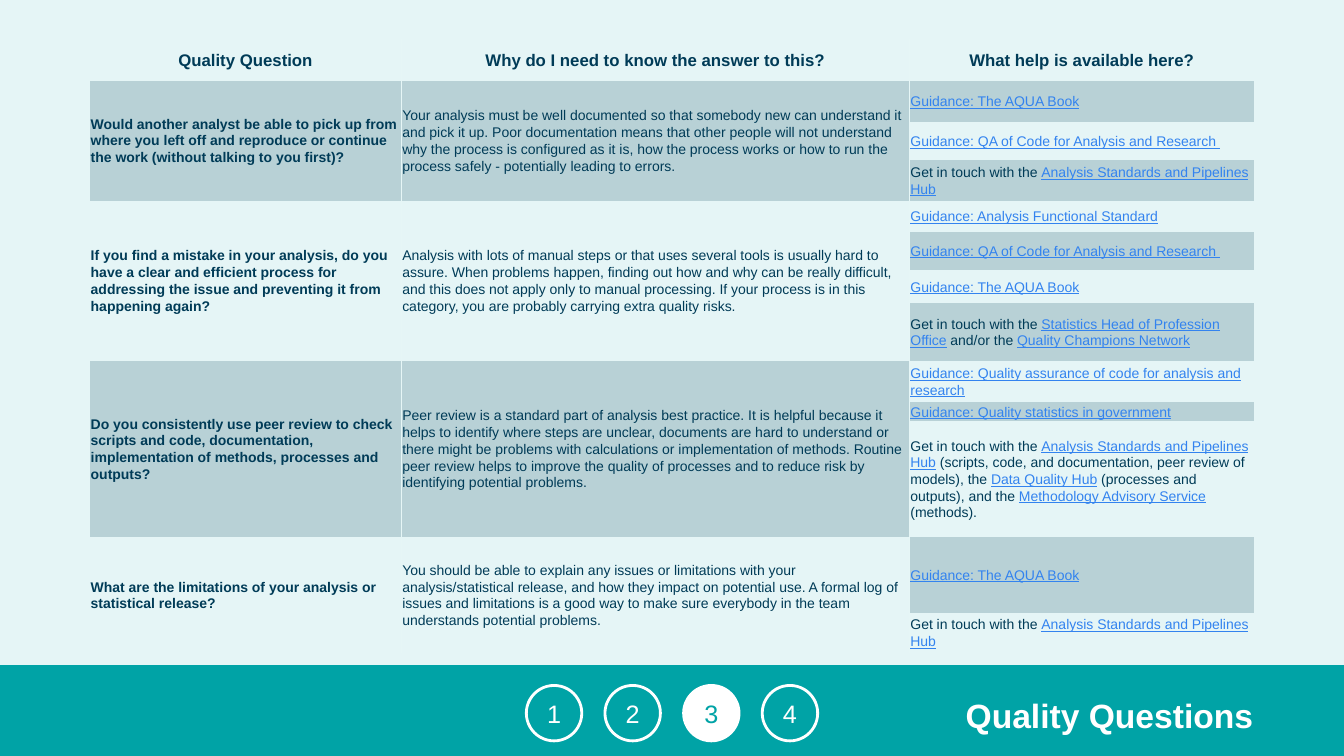
from pptx import Presentation
from pptx.dml.color import RGBColor as Rgb
from pptx.enum.shapes import MSO_SHAPE as Kind
from pptx.enum.text import MSO_ANCHOR as Anchor, PP_ALIGN as Align
from pptx.oxml import parse_xml as to_xml
from pptx.oxml.ns import nsdecls, qn
from pptx.util import Inches, Pt

HUES = {"back": "E5F5F6", "teal": "00A3A6", "band": "B8D1D6", "edge": "E6F6F6",
        "ink": "003B57", "link": "3383EF", "white": "FFFFFF"}
NO_STYLE = "{2D5ABB26-0587-4C30-8999-92F81FD0307C}"
COLS = [3.09, 5.04, 3.42]
ROWS = [0.41, 0.41, 0.38, 0.4, 0.31, 0.38, 0.33, 0.57, 0.41, 0.19, 1.15, 0.75, 0.4]
HEADS = ["Quality Question", "Why do I need to know the answer to this?",
         "What help is available here?"]
AQUA = "[Guidance: The AQUA Book]"
CODE = "[Guidance: QA of Code for Analysis and Research ]"
HUB = "Get in touch with the [Analysis Standards and Pipelines Hub]"
TOPICS = [
    ("Would another analyst be able to pick up from where you left off and reproduce "
     "or continue the work (without talking to you first)?",
     "Your analysis must be well documented so that somebody new can understand it and "
     "pick it up. Poor documentation means that other people will not understand why the "
     "process is configured as it is, how the process works or how to run the process "
     "safely - potentially leading to errors.",
     [AQUA, CODE, HUB]),
    ("If you find a mistake in your analysis, do you have a clear and efficient process "
     "for addressing the issue and preventing it from happening again?",
     "Analysis with lots of manual steps or that uses several tools is usually hard to "
     "assure. When problems happen, finding out how and why can be really difficult, and "
     "this does not apply only to manual processing. If your process is in this category, "
     "you are probably carrying extra quality risks.",
     ["[Guidance: Analysis Functional Standard]", CODE, AQUA,
      "Get in touch with the [Statistics Head of Profession Office] and/or the "
      "[Quality Champions Network]"]),
    ("Do you consistently use peer review to check scripts and code, documentation, "
     "implementation of methods, processes and outputs?",
     "Peer review is a standard part of analysis best practice. It is helpful because it "
     "helps to identify where steps are unclear, documents are hard to understand or there "
     "might be problems with calculations or implementation of methods. Routine peer review "
     "helps to improve the quality of processes and to reduce risk by identifying potential "
     "problems.",
     ["[Guidance: Quality assurance of code for analysis and research]",
      "[Guidance: Quality statistics in government]",
      HUB + " (scripts, code, and documentation, peer review of models), the "
      "[Data Quality Hub] (processes and outputs), and the "
      "[Methodology Advisory Service] (methods)."]),
    ("What are the limitations of your analysis or statistical release?",
     "You should be able to explain any issues or limitations with your "
     "analysis/statistical release, and how they impact on potential use. A formal log of "
     "issues and limitations is a good way to make sure everybody in the team understands "
     "potential problems.",
     [AQUA, HUB]),
]


def hue(name):
    """Return the named colour."""
    return Rgb.from_string(HUES[name])


def add_run(para, text, size, tone, bold=False):
    """Add one styled run to a paragraph."""
    run = para.add_run()
    run.text = text
    font = run.font
    font.name, font.size, font.bold = "Arial", Pt(size), bold
    font.color.rgb = hue(tone)
    return run


def add_form(slide, kind, box, tone):
    """Add a plain filled shape."""
    form = slide.shapes.add_shape(kind, *map(Inches, box))
    form.shadow.inherit = False
    form.fill.solid()
    form.fill.fore_color.rgb = hue(tone)
    form.line.fill.background()
    return form


def fill_cell(cell, text, size=10, bold=False, band=False, align=Align.LEFT):
    """Write a cell, setting the parts in square brackets as links."""
    cell.margin_left = cell.margin_right = Inches(0.01)
    cell.margin_top = cell.margin_bottom = 0
    cell.vertical_anchor = Anchor.MIDDLE
    para = cell.text_frame.paragraphs[0]
    para.alignment, para.line_spacing, para.space_after = align, 1.07, Pt(8)
    for part in text.replace("]", "[").split("[")[0:1]:
        if part:
            add_run(para, part, size, "ink", bold)
    for chunk in text.split("[")[1:]:
        link, rest = chunk.split("]")
        add_run(para, link, size, "link", bold).font.underline = True
        if rest:
            add_run(para, rest, size, "ink", bold)
    if band:
        cell.fill.solid()
        cell.fill.fore_color.rgb = hue("band")


def add_edge(cell, side):
    """Draw a thin line on one side of a cell."""
    cell._tc.get_or_add_tcPr().insert(0, to_xml(
        f'<a:{side} {nsdecls("a")} w="12700"><a:solidFill>'
        f'<a:srgbClr val="{HUES["edge"]}"/></a:solidFill></a:{side}>'))


def add_grid(slide, left, top):
    """Build the table of questions, reasons and help."""
    size = (left, top, sum(COLS), sum(ROWS))
    grid = slide.shapes.add_table(len(ROWS), len(COLS), *map(Inches, size)).table
    grid.first_row = grid.horz_banding = False
    grid._tbl.tblPr.find(qn("a:tableStyleId")).text = NO_STYLE
    for col, width in zip(grid.columns, COLS):
        col.width = Inches(width)
    for row, height in zip(grid.rows, ROWS):
        row.height = Inches(height)
    for cell in grid.iter_cells():
        cell.fill.background()
    for col, head in enumerate(HEADS):
        fill_cell(grid.cell(0, col), head, 12, True, align=Align.CENTER)
    row = 1
    for num, (ask, why, helps) in enumerate(TOPICS):
        last = row + len(helps) - 1
        for col, text in enumerate((ask, why)):
            grid.cell(row, col).merge(grid.cell(last, col))
            fill_cell(grid.cell(row, col), text, bold=col == 0, band=num % 2 == 0)
        for spot, text in enumerate(helps, row):
            fill_cell(grid.cell(spot, 2), text, band=spot % 2 == 1)
        row = last + 1
    for row in range(len(ROWS)):
        for col in (0, 1):
            add_edge(grid.cell(row, col), "lnR")
        add_edge(grid.cell(row, 1), "lnL")


def add_foot(slide, left, top, width, height):
    """Build the footer band with its title and page marks."""
    add_form(slide, Kind.RECTANGLE, (left, top, width, height), "teal")
    box = (left + 8.23, top + 0.24, 4.2, 0.4)
    frame = slide.shapes.add_textbox(*map(Inches, box)).text_frame
    frame.word_wrap, frame.margin_right = True, 0
    para = frame.paragraphs[0]
    para.alignment = Align.RIGHT
    add_run(para, "Quality Questions", 24, "white", True)
    for num in range(1, 5):
        tone, ink = ("white", "teal") if num == 3 else ("teal", "white")
        spot = (left + 5.22 + 0.78 * (num - 1), top + 0.2, 0.55, 0.55)
        mark = add_form(slide, Kind.OVAL, spot, tone)
        mark.line.color.rgb = hue("white")
        mark.line.width = Pt(2)
        mark.text_frame.vertical_anchor = Anchor.MIDDLE
        para = mark.text_frame.paragraphs[0]
        para.alignment = Align.CENTER
        add_run(para, str(num), 18, ink)


def main():
    """Build and save the slide."""
    deck = Presentation()
    deck.slide_width, deck.slide_height = Inches(13.33), Inches(7.5)
    slide = deck.slides.add_slide(deck.slide_layouts[6])
    slide.background.fill.solid()
    slide.background.fill.fore_color.rgb = hue("back")
    add_foot(slide, 0, 6.6, 13.33, 0.9)
    add_grid(slide, 0.89, 0.39)
    deck.save("out.pptx")


main()
